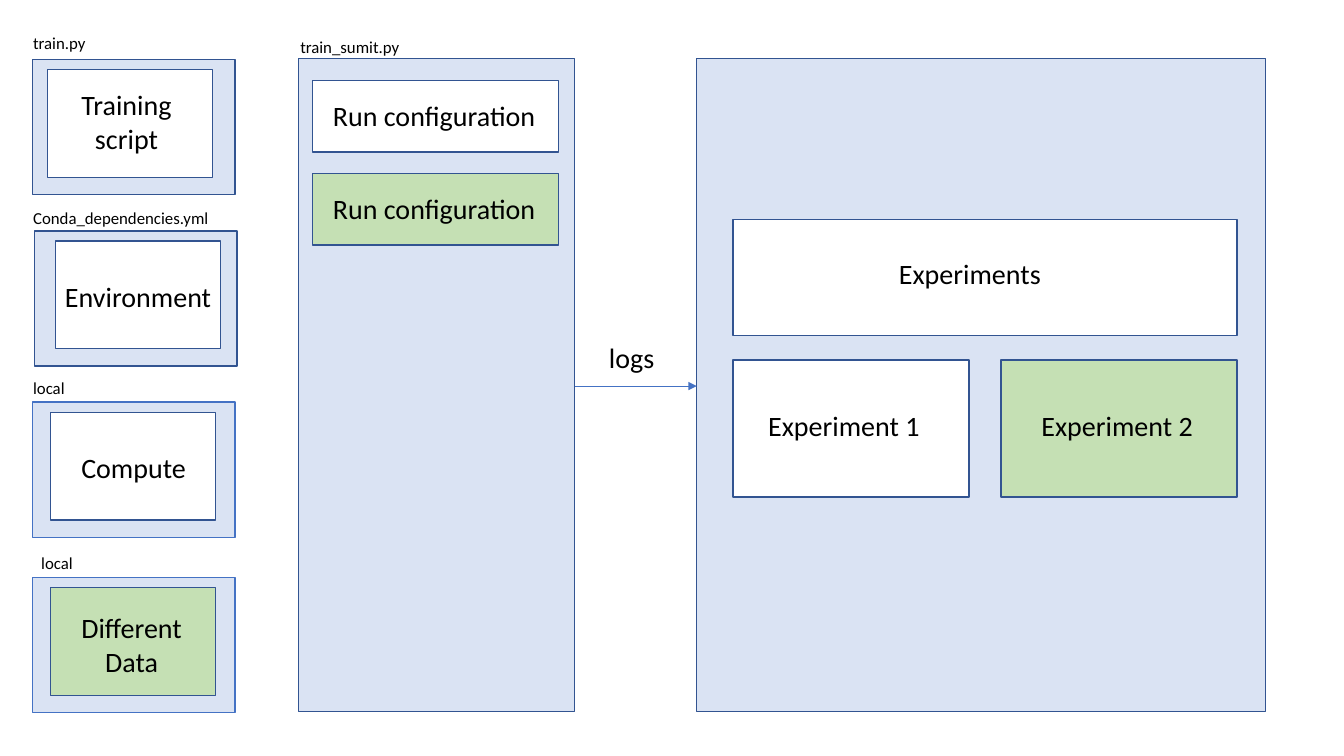
from pptx import Presentation, util as u
from pptx.dml.color import RGBColor
from pptx.enum import shapes, text
from pptx.oxml.ns import qn
from lxml import etree

HUES = {"pale": "DAE3F3", "white": "FFFFFF", "green": "C5E0B4",
        "navy": "325491", "blue": "4472C4", "black": "000000"}

deck = Presentation()
deck.slide_width, deck.slide_height = u.Inches(13.33), u.Inches(7.5)
slide = deck.slides.add_slide(deck.slide_layouts[6])


def hue(name):
    return RGBColor.from_string(HUES[name])


def box(x, y, w, h, fill="white", line="navy"):
    rect = slide.shapes.add_shape(shapes.MSO_SHAPE.RECTANGLE, *map(u.Inches, (x, y, w, h)))
    rect.shadow.inherit = False
    rect.fill.solid()
    rect.fill.fore_color.rgb = hue(fill)
    rect.line.color.rgb = hue(line)
    rect.line.width = u.Pt(1)


def write(words, x, y, w, h=0.44, size=20, align=text.PP_ALIGN.CENTER):
    frame = slide.shapes.add_textbox(*map(u.Inches, (x, y, w, h))).text_frame
    frame.word_wrap = True
    frame.auto_size = text.MSO_AUTO_SIZE.SHAPE_TO_FIT_TEXT
    frame.text = words
    for para in frame.paragraphs:
        para.alignment = align
        font = para.runs[0].font
        font.name, font.size = "Calibri", u.Pt(size)
        font.color.rgb = hue("black")


small = {"h": 0.3, "size": 12, "align": text.PP_ALIGN.LEFT}

# Inputs: frame x, y, line; file x, y, width; card x, fill; label x, y, width, height
inputs = [
    (0.32, 0.59, "navy", "train.py", 0.23, 0.28, 1.01,
     0.47, "white", "Training script", 0.5, 0.82, 1.51, 0.77),
    (0.34, 2.29, "navy", "Conda_dependencies.yml", 0.23, 2.01, 3.42,
     0.55, "white", "Environment", 0.47, 2.72, 1.8, 0.44),
    (0.32, 3.99, "blue", "local", 0.23, 3.7, 1.01,
     0.5, "white", "Compute", 0.57, 4.42, 1.51, 0.44),
    (0.32, 5.73, "blue", "local", 0.31, 5.43, 1.01,
     0.5, "green", "Different\nData", 0.55, 6.01, 1.51, 0.77),
]
for x, y, line, file, fx, fy, fw, cx, fill, label, *spot in inputs:
    box(x, y, 2.01, 1.34, "pale", line)
    write(file, fx, fy, fw, **small)
    box(cx, y + 0.1, 1.64, 1.07, fill)
    write(label, *spot)

# Run configurations
box(2.96, 0.58, 2.74, 6.48, "pale")
write("train_sumit.py", 2.88, 0.32, 1.6, **small)
for y, fill in ((0.8, "white"), (1.72, "green")):
    box(3.1, y, 2.44, 0.71, fill)
    write("Run configuration", 3.15, y + 0.13, 2.31)

# Experiments
box(6.91, 0.58, 5.64, 6.48, "pale")
box(7.27, 2.18, 5, 1.15)
write("Experiments", 8.37, 2.5, 2.5)
for num, x, tx, fill in ((1, 7.27, 7.51, "white"), (2, 9.93, 10.22, "green")):
    box(x, 3.57, 2.34, 1.36, fill)
    write(f"Experiment {num}", tx, 4, 1.72)

# Logs arrow
arrow = slide.shapes.add_connector(shapes.MSO_CONNECTOR.STRAIGHT,
                                   *map(u.Inches, (5.7, 3.83, 6.91, 3.83)))
arrow.line.color.rgb = hue("blue")
arrow.line.width = u.Pt(0.5)
etree.SubElement(arrow.line._get_or_add_ln(), qn("a:tailEnd"), type="triangle")
etree.SubElement(arrow._element.spPr, qn("a:effectLst"))
write("logs", 5.51, 3.33, 1.51)

deck.save("out.pptx")
